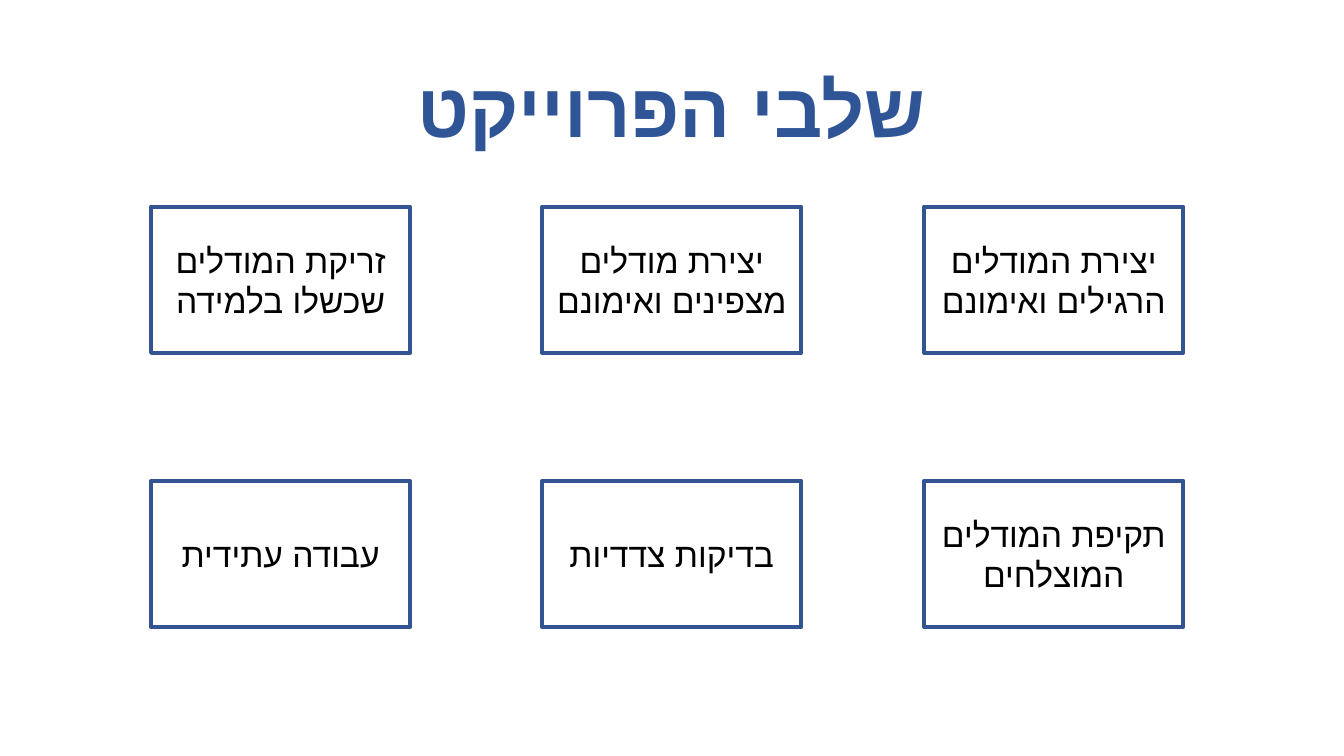
from lxml import etree
from pptx import Presentation
from pptx import util as u
from pptx.dml import color
from pptx.enum import shapes, text
from pptx.oxml import ns

COLORS = {"title": "2F5597", "border": "325491", "body": "000000"}
FONT = "Arial"

FRAME_FORMAT = {"word_wrap": True, "vertical_anchor": text.MSO_ANCHOR.MIDDLE}
TITLE_FONT = {"name": FONT, "size": u.Pt(54), "bold": True}
STAGE_FONT = {"name": FONT, "size": u.Pt(24), "bold": False}

# Stages in reading order, from right to left
STAGES = [
    ["יצירת המודלים הרגילים ואימונם", "יצירת מודלים מצפינים ואימונם",
     "זריקת המודלים שכשלו בלמידה"],
    ["תקיפת המודלים המוצלחים", "בדיקות צדדיות", "עבודה עתידית"],
]
COLUMN_OFFSETS = [552.24, 279.36, 0]
ROW_PITCH = 195.84
STAGE_SIZE = (185, 104.4)


def apply_format(target, values):
    for name, value in values.items():
        setattr(target, name, value)


def write_hebrew(box, words, font_format, color_name, line_spacing=1.0):
    """Write one centred right-to-left paragraph in the box."""
    apply_format(box.text_frame, FRAME_FORMAT)
    para = box.text_frame.paragraphs[0]
    apply_format(para, {"alignment": text.PP_ALIGN.CENTER,
                        "line_spacing": line_spacing})
    para._p.get_or_add_pPr().set("rtl", "1")
    span = para.add_run()
    span.text = words
    apply_format(span.font, font_format)
    span.font.color.rgb = color.RGBColor.from_string(COLORS[color_name])
    # Hebrew takes its typeface from the complex-script font
    properties = span._r.get_or_add_rPr()
    properties.set("lang", "he-IL")
    etree.SubElement(properties, ns.qn("a:cs"), typeface=FONT)


def add_title(page, left, top, width, height):
    box = page.shapes.add_textbox(*map(u.Pt, (left, top, width, height)))
    write_hebrew(box, "שלבי הפרוייקט", TITLE_FONT, "title", 0.9)


def add_stage(page, left, top, width, height, words):
    box = page.shapes.add_shape(shapes.MSO_SHAPE.RECTANGLE,
                                *map(u.Pt, (left, top, width, height)))
    box.shadow.inherit = False
    box.fill.background()
    box.line.color.rgb = color.RGBColor.from_string(COLORS["border"])
    box.line.width = u.Pt(3)
    write_hebrew(box, words, STAGE_FONT, "body")


def add_stage_grid(page, left, top):
    for row, stages in enumerate(STAGES):
        for offset, words in zip(COLUMN_OFFSETS, stages):
            add_stage(page, left + offset, top + row * ROW_PITCH,
                      *STAGE_SIZE, words)


def main():
    deck = Presentation()
    apply_format(deck, {"slide_width": u.Pt(960), "slide_height": u.Pt(540)})
    page = deck.slides.add_slide(deck.slide_layouts[6])
    add_title(page, 66, 28.75, 828, 104.4)
    add_stage_grid(page, 108, 147.6)
    deck.save("out.pptx")


if __name__ == "__main__":
    main()
